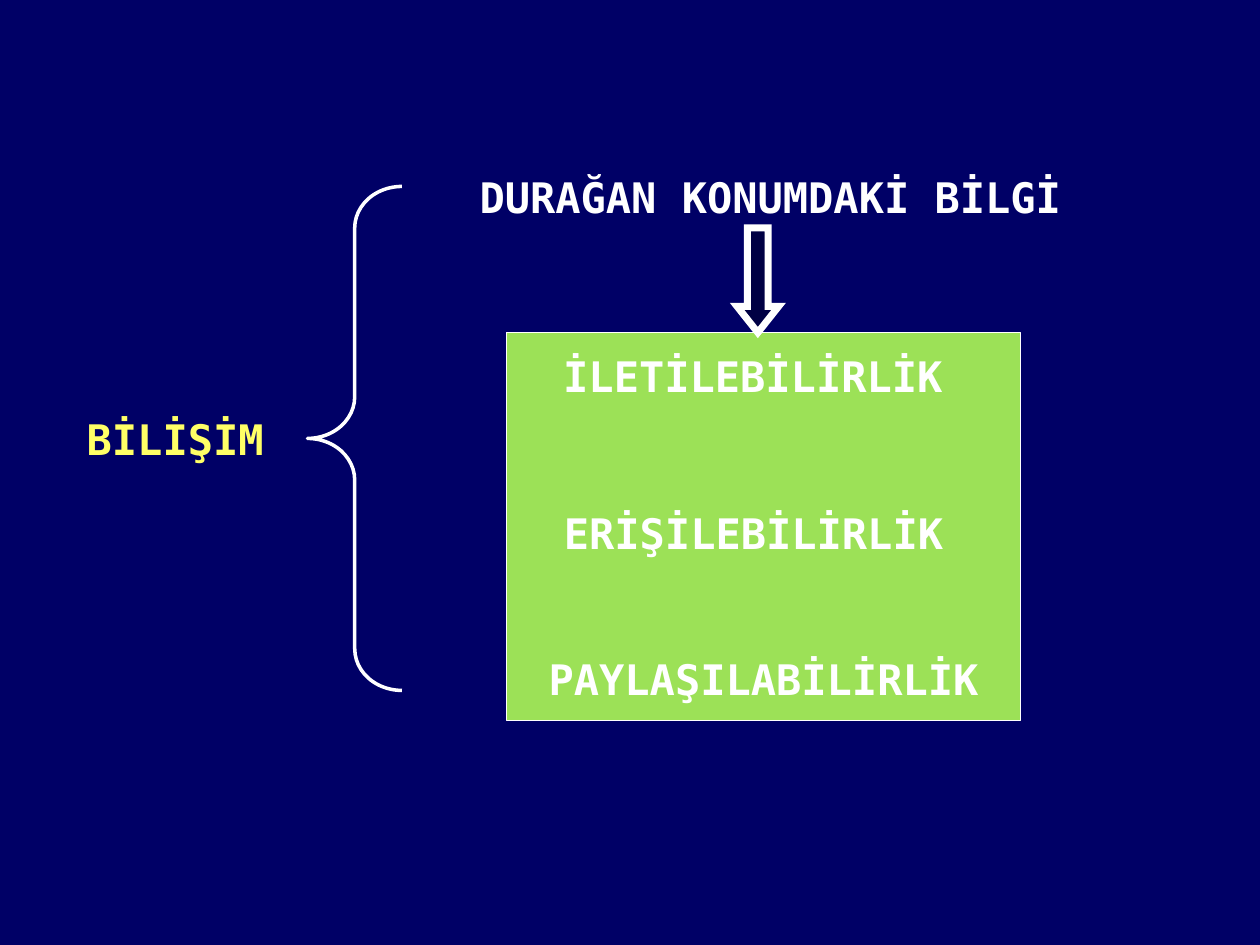
from lxml import etree
from pptx import Presentation
from pptx.dml.color import RGBColor
from pptx.enum.shapes import MSO_SHAPE as Shape
from pptx.enum.text import MSO_AUTO_SIZE as AutoSize, PP_ALIGN as Align
from pptx.oxml.ns import qn
from pptx.util import Inches, Pt

WHITE, YELLOW, GREEN = "FFFFFF", "FFFF66", "9CE157"
NAVY, DARK_NAVY = "000066", "000044"


def color(hex_string):
    return RGBColor.from_string(hex_string)


def add_outlined(kind, left, top, width, height, fill, line_width):
    shape = slide.shapes.add_shape(
        kind, Inches(left), Inches(top), Inches(width), Inches(height))
    shape.shadow.inherit = False
    if fill:
        shape.fill.solid()
        shape.fill.fore_color.rgb = color(fill)
    else:
        shape.fill.background()
    shape.line.color.rgb = color(WHITE)
    shape.line.width = Pt(line_width)
    return shape


presentation = Presentation()
presentation.slide_width, presentation.slide_height = Inches(10), Inches(7.5)
slide = presentation.slides.add_slide(presentation.slide_layouts[6])
slide.background.fill.solid()
slide.background.fill.fore_color.rgb = color(NAVY)

# Green panel behind the three properties
add_outlined(Shape.RECTANGLE, 4.02, 2.64, 4.08, 3.08, GREEN, 0.75)

# Labels: text, left, top, width, alignment, colour
labels = [
    ("DURAĞAN KONUMDAKİ BİLGİ", 3.19, 1.31, 5.33, Align.RIGHT, WHITE),
    ("İLETİLEBİLİRLİK", 4.1, 2.73, 3.75, Align.CENTER, WHITE),
    ("ERİŞİLEBİLİRLİK", 4.02, 3.98, 3.92, Align.CENTER, WHITE),
    ("PAYLAŞILABİLİRLİK", 3.85, 5.14, 4.42, Align.CENTER, WHITE),
    ("BİLİŞİM", 0.35, 3.23, 2.08, Align.CENTER, YELLOW),
]
for text, left, top, width, alignment, text_color in labels:
    text_frame = slide.shapes.add_textbox(
        Inches(left), Inches(top), Inches(width), Inches(0.5)).text_frame
    text_frame.word_wrap = True
    text_frame.auto_size = AutoSize.SHAPE_TO_FIT_TEXT
    paragraph = text_frame.paragraphs[0]
    paragraph.alignment = alignment
    paragraph.space_before = Pt(15)
    run = paragraph.add_run()
    run.text = text
    run.font.name = "DejaVu Sans Mono"
    run.font.size = Pt(24)
    run.font.bold = True
    run.font.color.rgb = color(text_color)

# Brace joining the term to its parts
brace = add_outlined(Shape.LEFT_BRACE, 2.44, 1.48, 0.75, 4, None, 2)
brace.adjustments[0] = 0.44
brace.adjustments[1] = 0.5

# Arrow from the heading to the panel, with sharp corners
arrow = add_outlined(Shape.DOWN_ARROW, 5.85, 1.81, 0.33, 0.83, DARK_NAVY, 4)
arrow.adjustments[0] = 0.5
arrow.adjustments[1] = 0.63
etree.SubElement(arrow.line._get_or_add_ln(), qn("a:miter"), lim="800000")

presentation.save("out.pptx")
